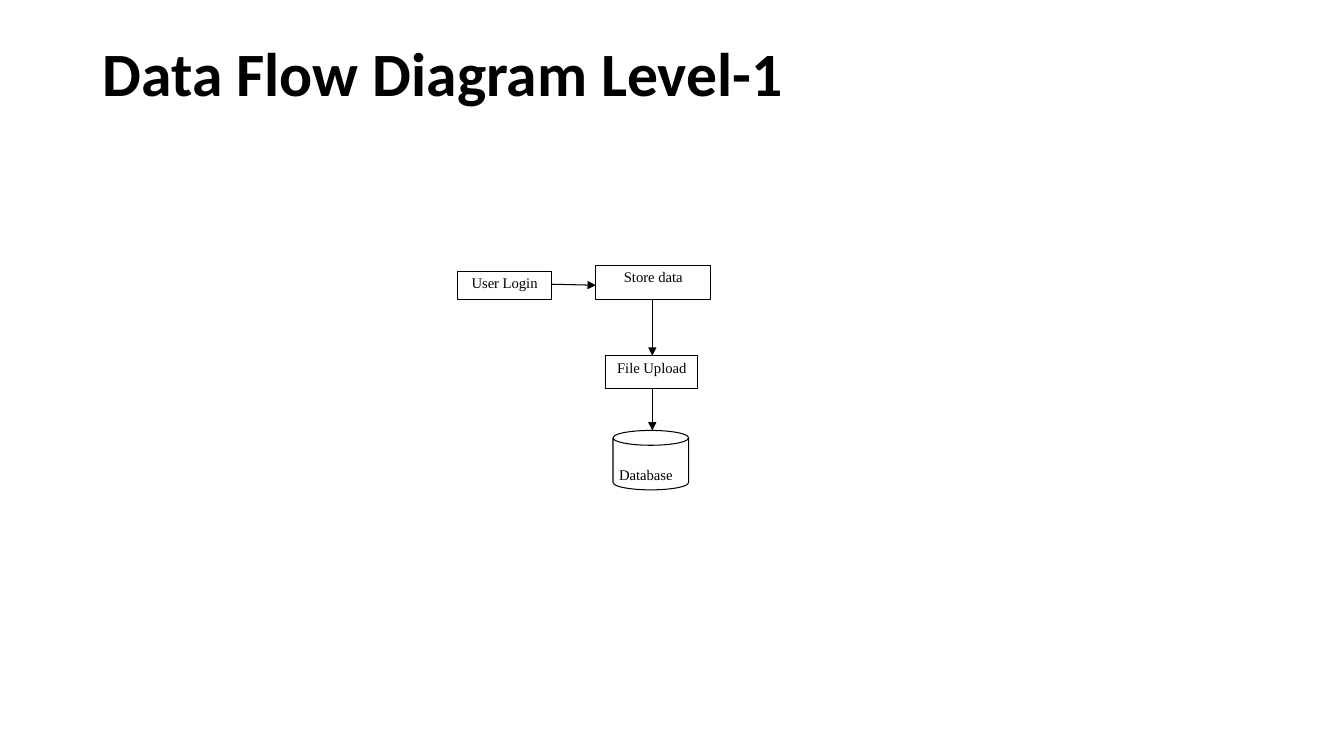
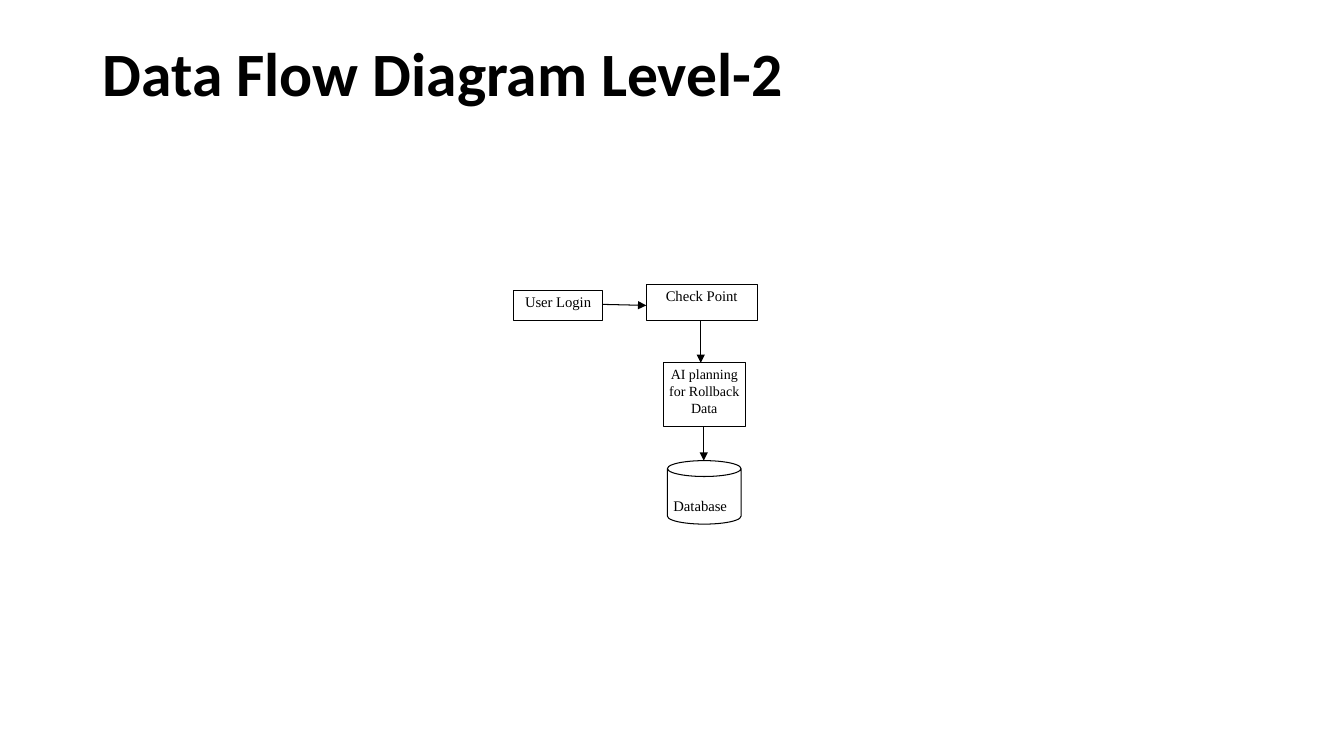
from dataclasses import dataclass
from itertools import pairwise

from lxml.etree import SubElement
from pptx import Presentation
from pptx.dml.color import RGBColor
from pptx.enum.shapes import MSO_CONNECTOR as Connector, MSO_SHAPE as Preset
from pptx.enum.text import MSO_ANCHOR as Anchor, MSO_AUTO_SIZE as AutoSize, PP_ALIGN as Align
from pptx.oxml.ns import qn
from pptx.slide import Slide
from pptx.text.text import Font
from pptx.util import Inches, Pt

BLACK = "000000"
WHITE = "FFFFFF"
TITLE_ONLY = 5
LINE_WIDTH = Pt(0.75)
ARROW_SLOPE = 0.01

TITLE_BOX = {"left": Inches(0.92), "top": Inches(0.4), "width": Inches(11.5), "height": Inches(1.45)}
TITLE_FRAME = {
    "margin_top": Inches(0.03), "vertical_anchor": Anchor.TOP,
    "word_wrap": True, "auto_size": AutoSize.NONE,
}
TITLE_PARAGRAPH = {"alignment": Align.LEFT, "line_spacing": 0.9}
TITLE_FONT = {"name": "Calibri", "size": Pt(44), "bold": True}

NODE_FRAME = {
    "margin_left": Inches(0.04), "margin_right": Inches(0.04),
    "margin_top": Inches(0.03), "margin_bottom": Inches(0.03),
    "vertical_anchor": Anchor.TOP, "word_wrap": True,
}
CAN_FRAME = NODE_FRAME | {"margin_left": Inches(0.06), "margin_top": Inches(0.2)}


@dataclass(frozen=True)
class Node:
    label: str
    left: float
    top: float
    width: float
    height: float
    text_size: float = 10.5
    is_store: bool = False

    @property
    def right(self) -> float:
        return self.left + self.width

    @property
    def bottom(self) -> float:
        return self.top + self.height


@dataclass(frozen=True)
class Diagram:
    title: str
    login: Node
    column: tuple[Node, ...]
    login_arrow_y: float
    column_arrows_x: tuple[float, ...]


DIAGRAMS = (
    Diagram(
        "Data Flow Diagram Level-1",
        Node("User Login", 4.54, 2.69, 0.93, 0.28),
        (
            Node("Store data", 5.91, 2.63, 1.14, 0.34),
            Node("File Upload", 6.01, 3.53, 0.91, 0.32),
            Node("Database", 6.08, 4.27, 0.75, 0.59, is_store=True),
        ),
        2.82,
        (6.47, 6.47),
    ),
    Diagram(
        "Data Flow Diagram Level-2",
        Node("User Login", 5.09, 2.88, 0.89, 0.3),
        (
            Node("Check Point", 6.41, 2.82, 1.1, 0.36),
            Node("AI planning for Rollback Data", 6.58, 3.6, 0.81, 0.63, 10),
            Node("Database", 6.62, 4.57, 0.73, 0.63, is_store=True),
        ),
        3.02,
        (6.95, 6.98),
    ),
)


def color(value: str) -> RGBColor:
    return RGBColor.from_string(value)


def apply_format(target: object, values: dict[str, object]) -> None:
    for name, value in values.items():
        setattr(target, name, value)


def format_font(font: Font, values: dict[str, object]) -> None:
    apply_format(font, values)
    font.color.rgb = color(BLACK)


def draw_title(slide: Slide, text: str) -> None:
    title = slide.shapes.title
    apply_format(title, TITLE_BOX)
    title.text_frame.text = text
    apply_format(title.text_frame, TITLE_FRAME)
    paragraph = title.text_frame.paragraphs[0]
    apply_format(paragraph, TITLE_PARAGRAPH)
    format_font(paragraph.runs[0].font, TITLE_FONT)


def draw_node(slide: Slide, node: Node) -> None:
    shape = slide.shapes.add_shape(
        Preset.CAN if node.is_store else Preset.RECTANGLE,
        Inches(node.left), Inches(node.top), Inches(node.width), Inches(node.height),
    )
    shape.shadow.inherit = False
    shape.fill.solid()
    shape.fill.fore_color.rgb = color(WHITE)
    shape.line.color.rgb = color(BLACK)
    shape.line.width = LINE_WIDTH
    shape.text_frame.text = node.label
    apply_format(shape.text_frame, CAN_FRAME if node.is_store else NODE_FRAME)
    paragraph = shape.text_frame.paragraphs[0]
    alignment = Align.LEFT if node.is_store else Align.CENTER
    apply_format(paragraph, {"alignment": alignment, "space_after": Pt(5.6)})
    format_font(paragraph.runs[0].font, {"name": "Times New Roman", "size": Pt(node.text_size)})


def draw_arrow(slide: Slide, start: tuple[float, float], end: tuple[float, float]) -> None:
    points = [Inches(value) for value in (*start, *end)]
    arrow = slide.shapes.add_connector(Connector.STRAIGHT, *points)
    arrow.line.color.rgb = color(BLACK)
    arrow.line.width = LINE_WIDTH
    properties = arrow.element.spPr
    SubElement(properties.find(qn("a:ln")), qn("a:tailEnd"), type="triangle")
    SubElement(properties, qn("a:effectLst"))


def draw_diagram(slide: Slide, diagram: Diagram) -> None:
    draw_title(slide, diagram.title)
    for node in (diagram.login, *diagram.column):
        draw_node(slide, node)
    arrow_y = diagram.login_arrow_y
    draw_arrow(slide, (diagram.login.right, arrow_y), (diagram.column[0].left, arrow_y + ARROW_SLOPE))
    for (upper, lower), arrow_x in zip(pairwise(diagram.column), diagram.column_arrows_x):
        draw_arrow(slide, (arrow_x, upper.bottom), (arrow_x, lower.top))


def main() -> None:
    presentation = Presentation()
    apply_format(presentation, {"slide_width": Inches(13.33), "slide_height": Inches(7.5)})
    for diagram in DIAGRAMS:
        draw_diagram(presentation.slides.add_slide(presentation.slide_layouts[TITLE_ONLY]), diagram)
    presentation.save("out.pptx")


main()
